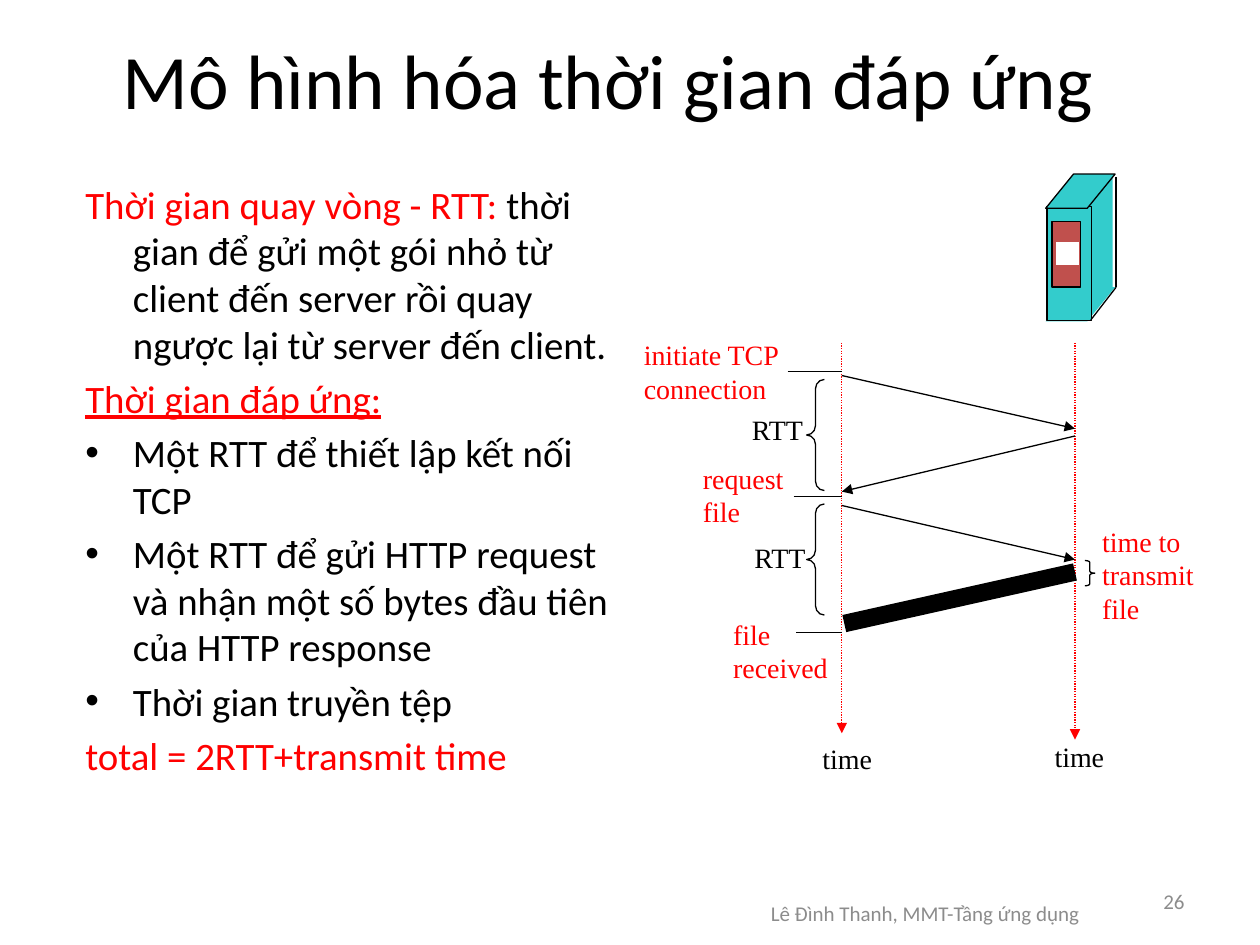
from lxml.etree import SubElement
from pptx import Presentation
from pptx.dml.color import RGBColor
from pptx.enum.dml import MSO_LINE
from pptx.enum.shapes import MSO_CONNECTOR, MSO_SHAPE
from pptx.enum.text import MSO_ANCHOR, PP_ALIGN
from pptx.oxml.ns import qn
from pptx.util import Cm, Pt

BLACK = RGBColor(0x00, 0x00, 0x00)
WHITE = RGBColor(0xFF, 0xFF, 0xFF)
RED = RGBColor(0xFF, 0x00, 0x00)
GRAY = RGBColor(0x8C, 0x8C, 0x8C)
TEAL = RGBColor(0x33, 0xCC, 0xCC)
BRICK = RGBColor(0xC0, 0x50, 0x4D)
SERIF = "Times New Roman"

CLIENT_X, SERVER_X = 16.97, 21.67

BODY = [
    (False, [("Thời gian quay vòng - RTT:", RED, False),
             (" thời gian để gửi một gói nhỏ từ client đến server "
              "rồi quay ngược lại từ server đến client.", BLACK, False)]),
    (False, [("Thời gian đáp ứng:", RED, True)]),
    (True, [("Một RTT để thiết lập kết nối TCP", BLACK, False)]),
    (True, [("Một RTT để gửi HTTP request và nhận một số bytes đầu tiên "
             "của HTTP response", BLACK, False)]),
    (True, [("Thời gian truyền tệp", BLACK, False)]),
    (False, [("total = 2RTT+transmit time", RED, False)]),
]

LABELS = [
    (["initiate TCP", "connection"], (12.73, 6.68, 3.25, 1.63), RED),
    (["RTT"], (14.91, 8.2, 1.57, 0.94), BLACK),
    (["request", "file"], (13.92, 9.17, 2.16, 1.63), RED),
    (["RTT"], (14.96, 10.77, 1.57, 0.94), BLACK),
    (["file", "received"], (14.53, 12.32, 2.44, 1.63), RED),
    (["time to", "transmit", "file"], (21.97, 10.44, 2.51, 2.29), RED),
    (["time"], (16.33, 14.83, 1.52, 0.94), BLACK),
    (["time"], (21.01, 14.78, 1.52, 0.94), BLACK),
]


def lengths(box):
    return [Cm(v) for v in box]


def write(p, text, *, size, color=BLACK, font="Calibri", underline=False):
    r = p.add_run()
    r.text = text
    r.font.name = font
    r.font.size = Pt(size)
    r.font.color.rgb = color
    r.font.underline = underline


def add_frame(slide, box, *, wrap=True, anchor=MSO_ANCHOR.TOP):
    tf = slide.shapes.add_textbox(*lengths(box)).text_frame
    tf.word_wrap = wrap
    tf.vertical_anchor = anchor
    return tf


def paragraphs(tf, items):
    """Pair each item with its own paragraph, starting from the one present."""
    for i, item in enumerate(items):
        yield (tf.add_paragraph() if i else tf.paragraphs[0]), item


def set_indent(p, bullet):
    pPr = p._p.get_or_add_pPr()
    pPr.set("marL", str(Cm(0.96)))
    pPr.set("indent", str(-Cm(0.96)))
    if bullet:
        SubElement(pPr, qn("a:buFont"), typeface="Arial")
        SubElement(pPr, qn("a:buChar"), char="•")
    else:
        SubElement(pPr, qn("a:buNone"))


def add_shape(slide, kind, box, *, fill=None, outline=True, adjust=None):
    sp = slide.shapes.add_shape(kind, *lengths(box))
    sp.shadow.inherit = False
    if fill is None:
        sp.fill.background()
    else:
        sp.fill.solid()
        sp.fill.fore_color.rgb = fill
    if outline:
        sp.line.color.rgb = BLACK
        sp.line.width = Pt(0.75)
    else:
        sp.line.fill.background()
    if adjust is not None:
        sp.adjustments[0] = adjust


def add_line(slide, start, end, *, color=BLACK, width=0.75, dash=None, arrow=False):
    cn = slide.shapes.add_connector(
        MSO_CONNECTOR.STRAIGHT, *lengths(start + end))
    cn.line.color.rgb = color
    cn.line.width = Pt(width)
    if dash:
        cn.line.dash_style = dash
    if arrow:
        SubElement(cn.line._get_or_add_ln(), qn("a:tailEnd"), type="triangle")
    SubElement(cn._element.spPr, qn("a:effectLst"))


def add_title(slide):
    title = slide.shapes.title
    title.left, title.top, title.width, title.height = lengths((1.47, 0, 21.59, 3.18))
    tf = title.text_frame
    tf.vertical_anchor = MSO_ANCHOR.MIDDLE
    p = tf.paragraphs[0]
    p.alignment = PP_ALIGN.CENTER
    write(p, "Mô hình hóa thời gian đáp ứng", size=44)


def add_body(slide):
    tf = add_frame(slide, (1.47, 3.51, 11.35, 12.9))
    for p, (bullet, runs) in paragraphs(tf, BODY):
        set_indent(p, bullet)
        if p._p is not tf.paragraphs[0]._p:
            p.space_before = Pt(4.4)
        for text, color, underline in runs:
            write(p, text, size=22.2, color=color, underline=underline)


def add_footer(slide, text, box, align):
    p = add_frame(slide, box, anchor=MSO_ANCHOR.MIDDLE).paragraphs[0]
    p.alignment = align
    write(p, text, size=12, color=GRAY)


def add_server(slide):
    slant, rect = MSO_SHAPE.PARALLELOGRAM, MSO_SHAPE.RECTANGLE
    add_shape(slide, slant, (21.08, 5.79, 1.4, 0.69), fill=TEAL, outline=False, adjust=0.814)
    add_shape(slide, rect, (21.79, 3.53, 0.64, 2.29), fill=TEAL, outline=False)
    add_shape(slide, rect, (21.11, 4.17, 0.89, 2.29), fill=TEAL)
    add_shape(slide, slant, (21.08, 3.51, 1.4, 0.69), fill=TEAL, adjust=0.814)
    add_line(slide, (22.5, 3.56), (22.5, 5.79))
    add_line(slide, (22.5, 5.79), (21.99, 6.45))
    add_shape(slide, rect, (21.21, 4.47, 0.58, 1.32), fill=BRICK)
    add_shape(slide, rect, (21.29, 4.88, 0.46, 0.46), fill=WHITE, outline=False)


def add_timing(slide):
    for x, bottom in ((CLIENT_X, 14.78), (SERVER_X, 14.91)):
        add_line(slide, (x, 6.91), (x, bottom), color=RED,
                 dash=MSO_LINE.ROUND_DOT, arrow=True)

    add_line(slide, (CLIENT_X, 7.57), (SERVER_X, 8.64), arrow=True)
    add_line(slide, (SERVER_X, 8.79), (CLIENT_X, 9.91), arrow=True)
    add_line(slide, (CLIENT_X, 10.19), (SERVER_X, 11.28), arrow=True)
    add_line(slide, (SERVER_X, 11.53), (17.02, 12.57), width=10)

    for x, y in ((15.88, 7.49), (16, 10.01), (16.05, 12.75)):
        add_line(slide, (x, y), (CLIENT_X, y))

    for y in (7.65, 10.16):
        add_shape(slide, MSO_SHAPE.LEFT_BRACE, (16.26, y, 0.36, 2.24), adjust=0.52)
    add_shape(slide, MSO_SHAPE.RIGHT_BRACE, (21.87, 11.3, 0.2, 0.51), adjust=0.2)

    for lines, box, color in LABELS:
        for p, text in paragraphs(add_frame(slide, box, wrap=False), lines):
            write(p, text, size=16, color=color, font=SERIF)


def main():
    prs = Presentation()
    prs.slide_width, prs.slide_height = Cm(25.4), Cm(19.05)
    slide = prs.slides.add_slide(prs.slide_layouts[5])
    add_footer(slide, "Lê Đình Thanh, MMT-Tầng ứng dụng",
               (14.22, 17.78, 8.86, 1.27), PP_ALIGN.CENTER)
    add_footer(slide, "26", (18.21, 17.65, 5.92, 1.02), PP_ALIGN.RIGHT)
    add_title(slide)
    add_body(slide)
    add_server(slide)
    add_timing(slide)
    prs.save("out.pptx")


if __name__ == "__main__":
    main()
